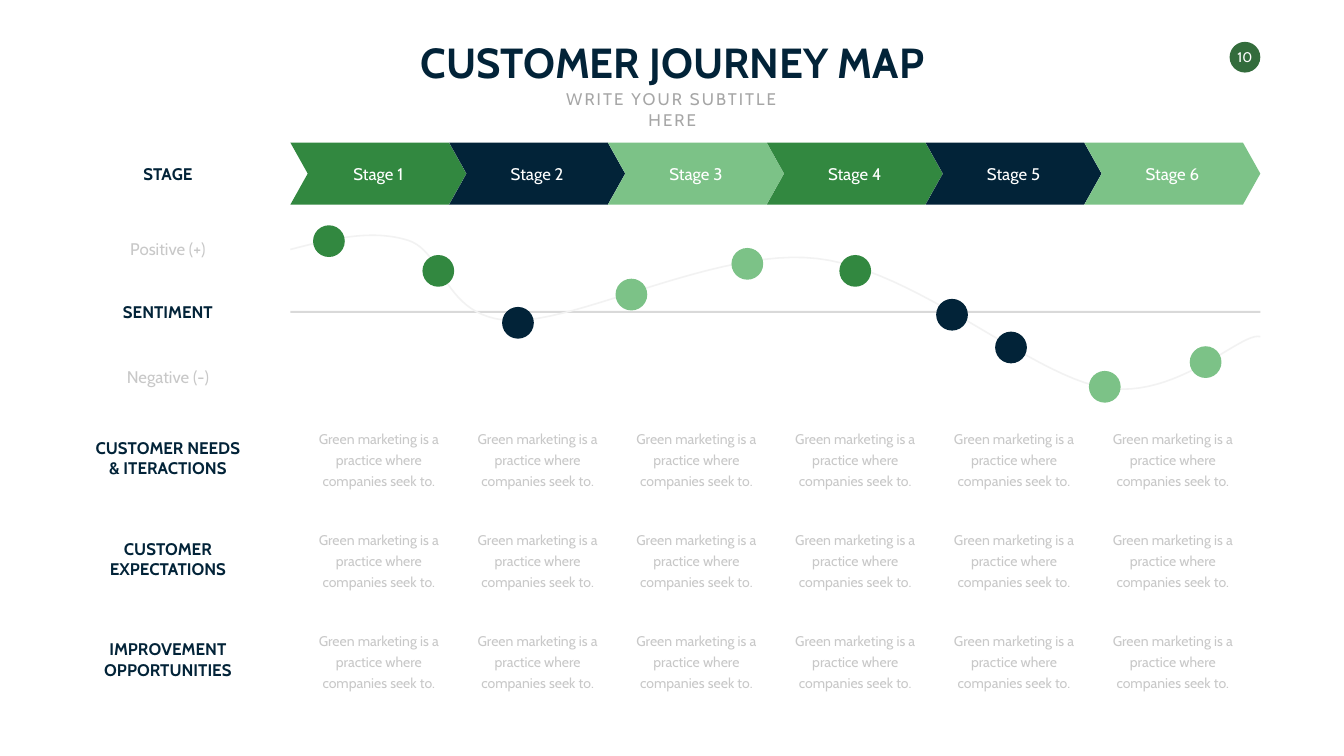
import pptx
import pptx.dml.color
import pptx.enum.shapes
import pptx.enum.text
import pptx.util

Inches = pptx.util.Inches
Pt = pptx.util.Pt
SHAPES = pptx.enum.shapes.MSO_SHAPE
MIDDLE = pptx.enum.text.MSO_ANCHOR.MIDDLE
TOP = pptx.enum.text.MSO_ANCHOR.TOP

FONT = "Cabin"
GREEN, NAVY, LIGHT_GREEN = "328840", "022338", "7CC287"
BADGE_GREEN, WHITE = "336C3C", "FFFFFF"
SUBTITLE_GRAY, TEXT_GRAY, AXIS_GRAY, CURVE_GRAY = "A6A6A6", "C8C8C8", "D9D9D9", "F2F2F2"

STAGE_COLORS = [GREEN, NAVY, LIGHT_GREEN] * 2
CHART_LEFT, CHART_WIDTH, COLUMN_STEP = 5.76, 19.24, 3.15
LABEL_CENTER = 3.33
ROW_LABELS = [
    "CUSTOMER NEEDS\n& ITERACTIONS",
    "CUSTOMER\nEXPECTATIONS",
    "IMPROVEMENT\nOPPORTUNITIES",
]
CELL_TEXT = "Green marketing is a practice where companies seek to."
CURVE_START = (5.76, 4.95)
CURVE_SEGMENTS = [
    ((6.57, 4.74), (7.37, 4.54), (8.1, 4.77)),
    ((8.83, 5.01), (8.78, 6.3), (10.13, 6.36)),
    ((11.48, 6.41), (14.25, 4.9), (16.21, 5.13)),
    ((18.17, 5.35), (20.42, 7.43), (21.89, 7.69)),
    ((23.35, 7.95), (24.62, 6.57), (25, 6.68)),
]
SENTIMENT_DOTS = [
    (6.21, 4.47, GREEN),
    (8.38, 5.06, GREEN),
    (9.96, 6.09, NAVY),
    (12.21, 5.53, LIGHT_GREEN),
    (14.51, 4.92, LIGHT_GREEN),
    (16.65, 5.06, GREEN),
    (18.57, 5.93, NAVY),
    (19.74, 6.58, NAVY),
    (21.6, 7.36, LIGHT_GREEN),
    (23.6, 6.87, LIGHT_GREEN),
]


def rgb(color):
    """Return the colour for a hex string."""
    return pptx.dml.color.RGBColor.from_string(color)


def write(sp, text, size, color, bold=False, spacing=None, anchor=MIDDLE, wrap=False):
    """Fill a shape with centred text, one paragraph per line."""
    tf = sp.text_frame
    tf.word_wrap = wrap
    tf.vertical_anchor = anchor
    tf.text = text
    for p in tf.paragraphs:
        p.alignment = pptx.enum.text.PP_ALIGN.CENTER
        if spacing:
            p.line_spacing = Pt(spacing)
        p.font.name = FONT
        p.font.size = Pt(size)
        p.font.bold = bold
        p.font.color.rgb = rgb(color)


def add_text(s, left, top, width, height, text, size, color, **style):
    """Add a text box with centred text."""
    sp = s.shapes.add_textbox(Inches(left), Inches(top), Inches(width), Inches(height))
    write(sp, text, size, color, **style)
    return sp


def add_filled(s, kind, left, top, width, height, color):
    """Add a flat preset shape without an outline."""
    sp = s.shapes.add_shape(kind, Inches(left), Inches(top), Inches(width), Inches(height))
    sp.shadow.inherit = False
    sp.fill.solid()
    sp.fill.fore_color.rgb = rgb(color)
    sp.line.fill.background()
    return sp


def add_label(s, center_y, text, color=NAVY, bold=True, spacing=None):
    """Add a row label centred in the left column."""
    width, height = 3.22, 0.91
    add_text(s, LABEL_CENTER - width / 2, center_y - height / 2, width, height,
             text, 24, color, bold=bold, spacing=spacing)


def add_badge(s):
    """Add the round page number."""
    sp = add_filled(s, SHAPES.OVAL, 24.39, 0.83, 0.61, 0.61, BADGE_GREEN)
    write(sp, "10", 20, WHITE)
    tf = sp.text_frame
    tf.margin_left = tf.margin_right = tf.margin_top = tf.margin_bottom = 0


def add_heading(s):
    """Add the title and the letter-spaced subtitle."""
    add_text(s, 7.78, 0.67, 11.11, 1.11, "CUSTOMER JOURNEY MAP", 60, NAVY,
             bold=True, anchor=TOP)
    sp = add_text(s, 10.62, 1.72, 5.43, 0.5, "WRITE YOUR SUBTITLE HERE", 24,
                  SUBTITLE_GRAY, anchor=TOP, wrap=True)
    r = sp.text_frame.paragraphs[0].runs[0]
    r.font.size = Pt(24)
    r._r.get_or_add_rPr().set("spc", "300")


def add_stages(s):
    """Add the row of stage chevrons."""
    for i, color in enumerate(STAGE_COLORS):
        sp = add_filled(s, SHAPES.CHEVRON, CHART_LEFT + i * COLUMN_STEP, 2.83, 3.49, 1.23, color)
        sp.adjustments[0] = 0.28
        write(sp, f"Stage {i + 1}", 24, WHITE, spacing=30)


def add_details(s):
    """Add the labelled grid of descriptions under the stages."""
    for row, label in enumerate(ROW_LABELS):
        add_label(s, 9.08 + 2 * row, label)
        for column in range(len(STAGE_COLORS)):
            add_text(s, 6.21 + column * COLUMN_STEP, 8.43 + 2 * row, 2.61, 1.32,
                     CELL_TEXT, 20, TEXT_GRAY, spacing=30, wrap=True)


def bezier_points(start, segments, steps=24):
    """Return points along a chain of cubic curves, in EMU."""
    points = []
    for a, b, end in segments:
        for i in range(1, steps + 1):
            t = i / steps
            u = 1 - t
            points.append(tuple(
                Inches(u**3 * w + 3 * u * u * t * x + 3 * u * t * t * y + t**3 * z)
                for w, x, y, z in zip(start, a, b, end)
            ))
        start = end
    return points


def add_sentiment(s):
    """Add the neutral axis, the sentiment curve and its dots."""
    add_filled(s, SHAPES.RECTANGLE, CHART_LEFT, 6.17, CHART_WIDTH, 0.04, AXIS_GRAY)
    x, y = CURVE_START
    builder = s.shapes.build_freeform(Inches(x), Inches(y))
    builder.add_line_segments(bezier_points(CURVE_START, CURVE_SEGMENTS), close=False)
    sp = builder.convert_to_shape()
    sp.shadow.inherit = False
    sp.fill.background()
    sp.line.color.rgb = rgb(CURVE_GRAY)
    sp.line.width = Pt(2.25)
    for left, top, color in SENTIMENT_DOTS:
        add_filled(s, SHAPES.OVAL, left, top, 0.63, 0.63, color)


def main():
    """Build and save the customer journey slide."""
    prs = pptx.Presentation()
    prs.slide_width = Inches(26.66)
    prs.slide_height = Inches(15)
    s = prs.slides.add_slide(prs.slide_layouts[6])
    add_badge(s)
    add_heading(s)
    add_stages(s)
    add_label(s, 3.45, "STAGE")
    add_label(s, 4.93, "Positive (+)", TEXT_GRAY, bold=False, spacing=30)
    add_label(s, 6.19, "SENTIMENT")
    add_label(s, 7.47, "Negative (-)", TEXT_GRAY, bold=False, spacing=30)
    add_details(s)
    add_sentiment(s)
    prs.save("out.pptx")


if __name__ == "__main__":
    main()
